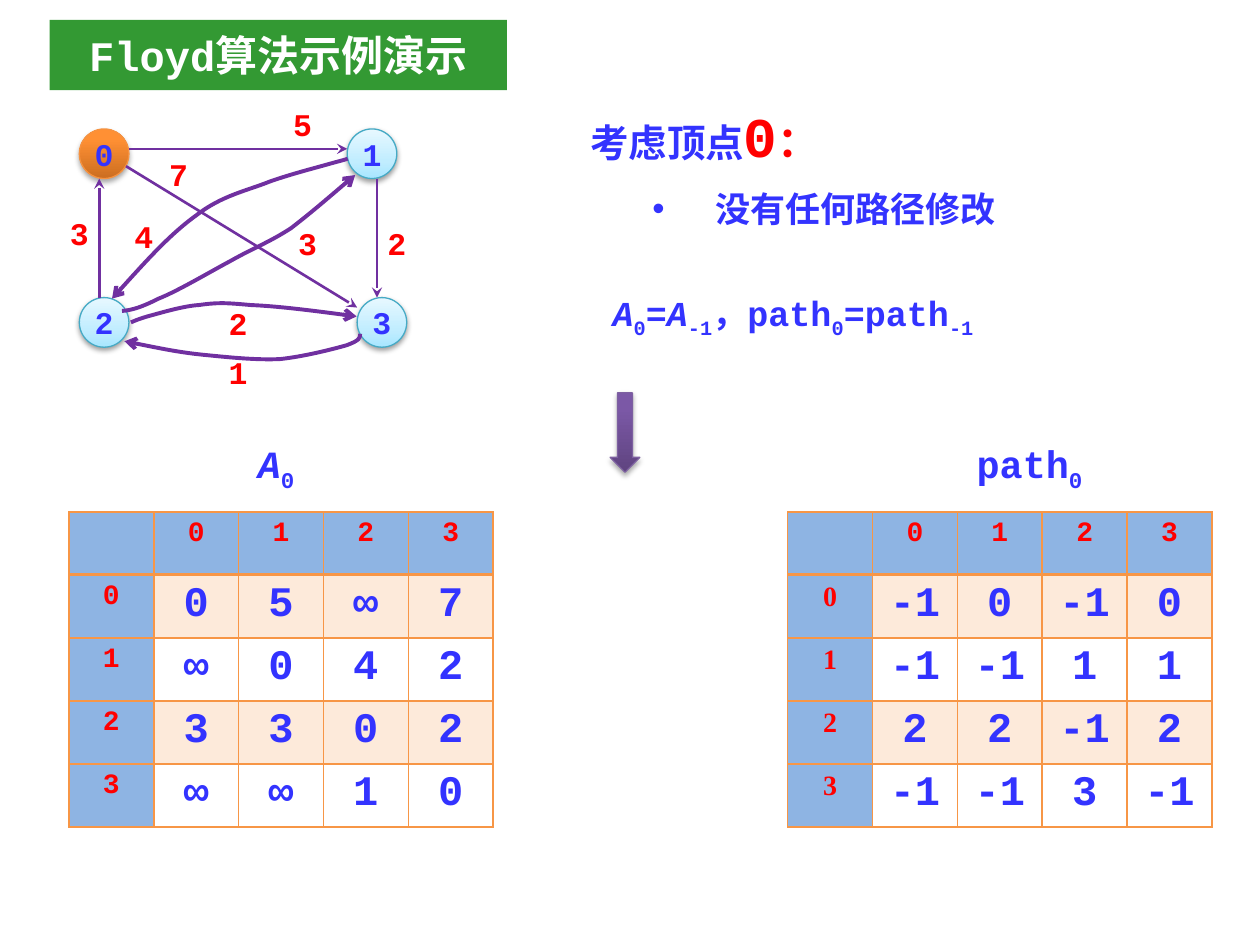
from lxml import etree
from pptx import Presentation
from pptx.dml.color import RGBColor
from pptx.enum.shapes import MSO_CONNECTOR, MSO_SHAPE
from pptx.enum.text import MSO_ANCHOR, PP_ALIGN
from pptx.oxml import parse_xml
from pptx.oxml.ns import qn
from pptx.util import Cm, Pt

LEFT, CENTER = PP_ALIGN.LEFT, PP_ALIGN.CENTER
TOP, MIDDLE = MSO_ANCHOR.TOP, MSO_ANCHOR.MIDDLE
STRAIGHT = MSO_CONNECTOR.STRAIGHT
RECT, OVAL, DOWN = MSO_SHAPE.RECTANGLE, MSO_SHAPE.OVAL, MSO_SHAPE.DOWN_ARROW
NS = 'xmlns:a="http://schemas.openxmlformats.org/drawingml/2006/main"'
MONO, SERIF = "Courier New", "Times New Roman"
BLUE, RED, WHITE, PURPLE = "3333FF", "FF0000", "FFFFFF", "7030A0"
GREEN, HEADER, ORANGE = "339933", "8EB4E3", "F79646"
SUB = {"sub": True}

# Gradient stops, outline colour, shadow opacity and distance
PALE = ([(0, "A7E6FF"), (35, "C1EDFF"), (100, "E7F8FF")], "46AAC5", 38, 1.6)
AMBER = ([(0, "CC6E20"), (80, "FF9034"), (100, "FF9136")], "F69240", 35, 1.8)
VIOLET = ([(0, "5F4480"), (80, "7B58A6"), (100, "7C57A8")], "7D60A0", 35, 1.8)

# Graph parts, in cm from the graph's corner
NODES = [("0", 0.6, 0.6, AMBER), ("1", 6, 0.6, PALE),
         ("2", 0.6, 4, PALE), ("3", 6.2, 4, PALE)]
EDGES = [(1.6, 1, 6, 1), (1, 4, 1, 1.6), (1.54, 1.35, 6.2, 4.2), (6.6, 1.6, 6.6, 4)]
WEIGHTS = [("5", 4.5, 0), ("3", 0, 2.2), ("2", 6.4, 2.4), ("7", 2, 1),
           ("3", 4.6, 2.4), ("1", 3.2, 5), ("2", 3.2, 4), ("4", 1.3, 2.25)]
CURVES = [  # start point, then three Bezier points for each segment
    [(6.26, 4.73), (6.26, 4.81), (6.26, 4.86), (5.99, 4.96), (5.71, 5.04),
     (5.12, 5.19), (4.64, 5.24), (4.18, 5.26), (3.67, 5.21), (3.17, 5.16),
     (2.63, 5.11), (2.07, 4.99), (1.51, 4.88)],
    [(1.64, 4.5), (1.69, 4.48), (1.74, 4.45), (1.97, 4.38), (2.2, 4.32),
     (2.68, 4.17), (3.01, 4.15), (3.37, 4.1), (3.52, 4.1), (4.05, 4.15),
     (4.56, 4.17), (5.38, 4.27), (6.19, 4.38)],
    [(6.01, 1.2), (5.93, 1.23), (5.83, 1.25), (5.55, 1.33), (5.3, 1.4),
     (4.87, 1.51), (4.44, 1.66), (4, 1.84), (3.47, 1.94), (2.96, 2.34),
     (2.43, 2.72), (1.84, 3.38), (1.26, 4.02)],
    [(1.46, 4.27), (1.67, 4.25), (1.84, 4.2), (2.2, 4.02), (2.58, 3.87),
     (3.22, 3.49), (3.65, 3.26), (4.11, 3), (4.44, 2.88), (4.87, 2.6),
     (5.27, 2.29), (5.71, 1.91), (6.16, 1.53)],
]
DIST = ["05∞7", "∞042", "3302", "∞∞10"]
PATHS = [["-1", "0", "-1", "0"], ["-1", "-1", "1", "1"],
         ["2", "2", "-1", "2"], ["-1", "-1", "3", "-1"]]


def rgb(color):
    return RGBColor.from_string(color)


def write(tf, runs, size, color, align=LEFT, font=MONO, anchor=TOP):
    """Fill the first paragraph with (text, options) runs in bold."""
    tf.vertical_anchor = anchor
    p = tf.paragraphs[0]
    p.alignment = align
    for text, opts in runs:
        r = p.add_run()
        r.text = text
        r.font.name, r.font.bold = font, True
        r.font.size = Pt(opts.get("size", size))
        r.font.color.rgb = rgb(opts.get("color", color))
        r.font.italic = opts.get("italic", False)
        if "sub" in opts:
            r.font._element.set("baseline", "-25000")
    return p


def add_text(s, x, y, w, h, runs, size, color=BLUE, align=LEFT, inset=None):
    tf = s.shapes.add_textbox(Cm(x), Cm(y), Cm(w), Cm(h)).text_frame
    tf.word_wrap = True
    if inset is not None:
        tf.margin_left = tf.margin_right = tf.margin_top = tf.margin_bottom = Cm(inset)
    return write(tf, runs, size, color, align)


def add_glossy(s, kind, x, y, w, h, look):
    """Preset shape with a vertical gradient and a soft shadow."""
    stops, line, alpha, dist = look
    sp = s.shapes.add_shape(kind, Cm(x), Cm(y), Cm(w), Cm(h))
    sp.line.color.rgb, sp.line.width = rgb(line), Pt(0.75)
    gs = "".join(f'<a:gs pos="{pos * 1000}"><a:srgbClr val="{c}"/></a:gs>' for pos, c in stops)
    sp.line._get_or_add_ln().addprevious(parse_xml(
        f'<a:gradFill {NS} rotWithShape="1"><a:gsLst>{gs}</a:gsLst>'
        '<a:lin ang="16200000" scaled="0"/></a:gradFill>'))
    sp._element.spPr.append(parse_xml(
        f'<a:effectLst {NS}><a:outerShdw blurRad="{Pt(3.1)}" dist="{Pt(dist)}" '
        'dir="5400000" rotWithShape="0"><a:srgbClr val="000000">'
        f'<a:alpha val="{alpha * 1000}"/></a:srgbClr></a:outerShdw></a:effectLst>'))
    return sp


def style_edge(sp, width, head):
    sp.line.color.rgb, sp.line.width = rgb(PURPLE), Pt(width)
    etree.SubElement(sp.line._get_or_add_ln(), qn("a:tailEnd"), type=head)


def add_curve(s, points):
    (x, y), *rest = [(Cm(px), Cm(py)) for px, py in points]
    fb = s.shapes.build_freeform(x, y)
    fb.add_line_segments(rest, close=False)
    sp = fb.convert_to_shape()
    sp.fill.background()
    sp.shadow.inherit = False
    # Each three points become one cubic segment
    lines = list(sp._element.iter(qn("a:lnTo")))
    for i in range(0, len(lines), 3):
        bez = etree.Element(qn("a:cubicBezTo"))
        lines[i].addprevious(bez)
        for ln in lines[i:i + 3]:
            bez.append(ln[0])
            ln.getparent().remove(ln)
    style_edge(sp, 2.25, "arrow")


def add_title(s, x, y, w, h):
    sp = s.shapes.add_shape(RECT, Cm(x), Cm(y), Cm(w), Cm(h))
    sp.shadow.inherit = False
    sp.fill.solid()
    sp.fill.fore_color.rgb = rgb(GREEN)
    sp.line.fill.background()
    write(sp.text_frame, [("Floyd算法示例演示", {})], 24, WHITE, CENTER, anchor=MIDDLE)


def add_graph(s, x, y):
    for name, dx, dy, look in NODES:
        sp = add_glossy(s, OVAL, x + dx, y + dy, 1, 1, look)
        sp.text_frame.word_wrap = False
        write(sp.text_frame, [(name, {})], 18, BLUE, CENTER, anchor=MIDDLE)
    for x1, y1, x2, y2 in EDGES:
        cx = s.shapes.add_connector(STRAIGHT, Cm(x + x1), Cm(y + y1), Cm(x + x2), Cm(y + y2))
        style_edge(cx, 1.5, "stealth")
        etree.SubElement(cx._element.spPr, qn("a:effectLst"))
    for points in CURVES:
        add_curve(s, [(x + dx, y + dy) for dx, dy in points])
    for text, dx, dy in WEIGHTS:
        add_text(s, x + dx, y + dy, 1.2, 1, [(text, {})], 18, RED, CENTER)


def add_notes(s, x, y):
    add_text(s, x, y, 5.66, 1.37, [("考虑顶点", {}), ("0", {"size": 32, "color": RED}),
                                   ("：", {"size": 24, "color": RED})], 22, inset=0)
    p = add_text(s, x + 1, y + 1.6, 7.75, 1.1, [("没有任何路径修改", {})], 20)
    pPr = p._p.get_or_add_pPr()
    pPr.set("marL", str(Cm(1.27)))
    pPr.set("indent", str(-Cm(1.27)))
    pPr.append(parse_xml(f'<a:buFont {NS} typeface="Arial"/>'))
    pPr.append(parse_xml(f'<a:buChar {NS} char="•"/>'))
    add_text(s, x + 0.2, y + 3.7, 9.1, 1.1, [
        ("A", {"italic": True}), ("0", SUB), ("=", {}), ("A", {"italic": True}), ("-1", SUB),
        ("，path", {}), ("0", SUB), ("=path", {}), ("-1", SUB)], 20)


def style_cell(cell, fill, alpha, bottom):
    tcPr = cell._tc.get_or_add_tcPr()
    for side, width in zip("LRTB", (1, 1, 1, bottom)):
        tcPr.append(parse_xml(
            f'<a:ln{side} {NS} w="{Pt(width)}"><a:solidFill><a:srgbClr val="{ORANGE}"/>'
            f'</a:solidFill></a:ln{side}>'))
    if fill is None:
        cell.fill.background()
        return
    cell.fill.solid()
    cell.fill.fore_color.rgb = rgb(fill)
    if alpha < 100:
        etree.SubElement(tcPr.find(qn("a:solidFill"))[0], qn("a:alpha"), val=str(alpha * 1000))


def add_matrix(s, x, y, label, label_x, rows, row_font):
    add_text(s, x + label_x, y, 3, 1.2, label, 22)
    n = len(rows) + 1
    table = s.shapes.add_table(n, n, Cm(x), Cm(y + 1.57), Cm(1.71 * n), Cm(1.27 * n)).table
    table.first_row = table.horz_banding = False
    grid = [["", *"0123"]] + [[str(i), *row] for i, row in enumerate(rows)]
    for i, row in enumerate(grid):
        for j, text in enumerate(row):
            cell = table.cell(i, j)
            if i == 0 or j == 0:
                style_cell(cell, HEADER, 100, 2 if i == 0 else 1)
                size, color = 16, RED
            else:
                style_cell(cell, ORANGE if i % 2 else None, 20, 1)
                size, color = 24, BLUE
            if text:
                font = row_font if j == 0 else MONO
                write(cell.text_frame, [(text, {})], size, color, CENTER, font)


def main():
    prs = Presentation()
    prs.slide_width, prs.slide_height = Cm(25.4), Cm(19.05)
    s = prs.slides.add_slide(prs.slide_layouts[6])
    add_title(s, 1, 0.4, 9.22, 1.42)
    add_graph(s, 1, 2)
    add_notes(s, 11.9, 2.05)
    add_glossy(s, DOWN, 12.3, 7.92, 0.6, 1.6, VIOLET)
    add_matrix(s, 1.39, 8.75, [("A", {"italic": True}), ("0", SUB)], 3.56, DIST, MONO)
    add_matrix(s, 15.88, 8.75, [("path", {}), ("0", SUB)], 3.56, PATHS, SERIF)
    prs.save("out.pptx")


if __name__ == "__main__":
    main()
